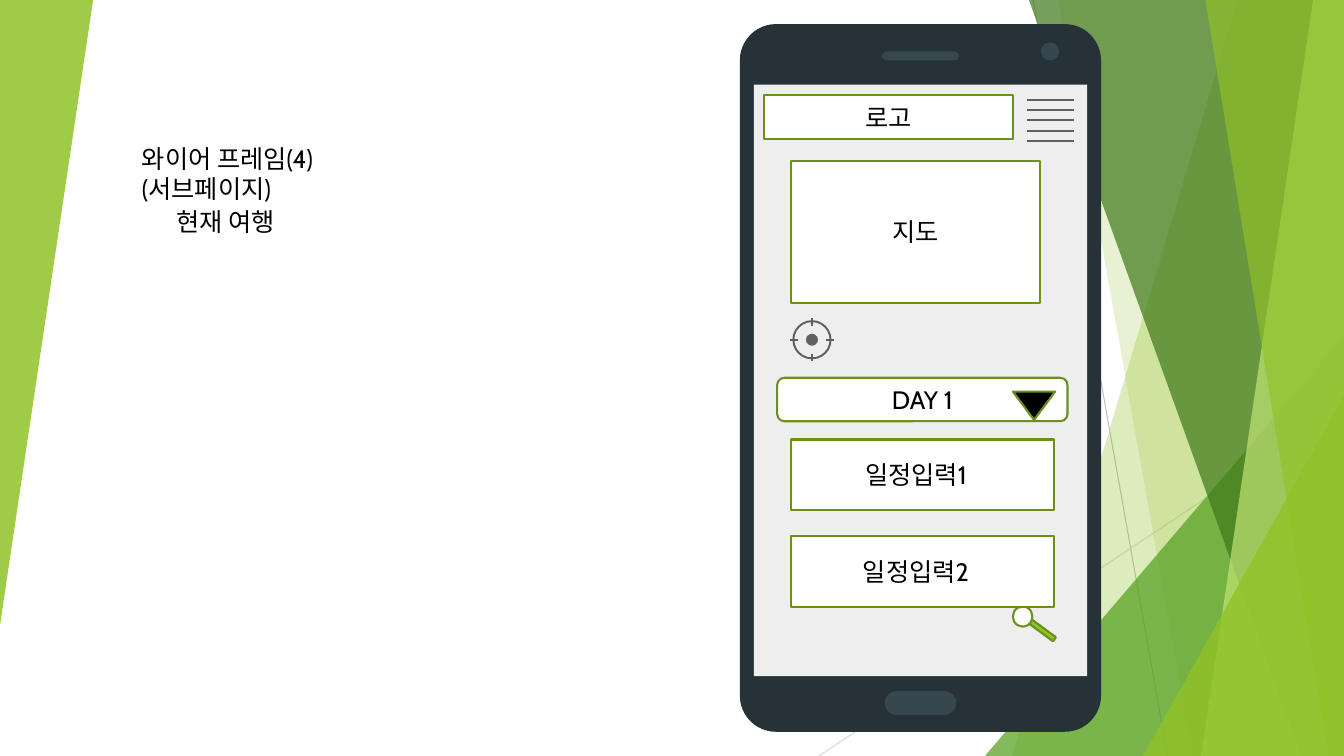
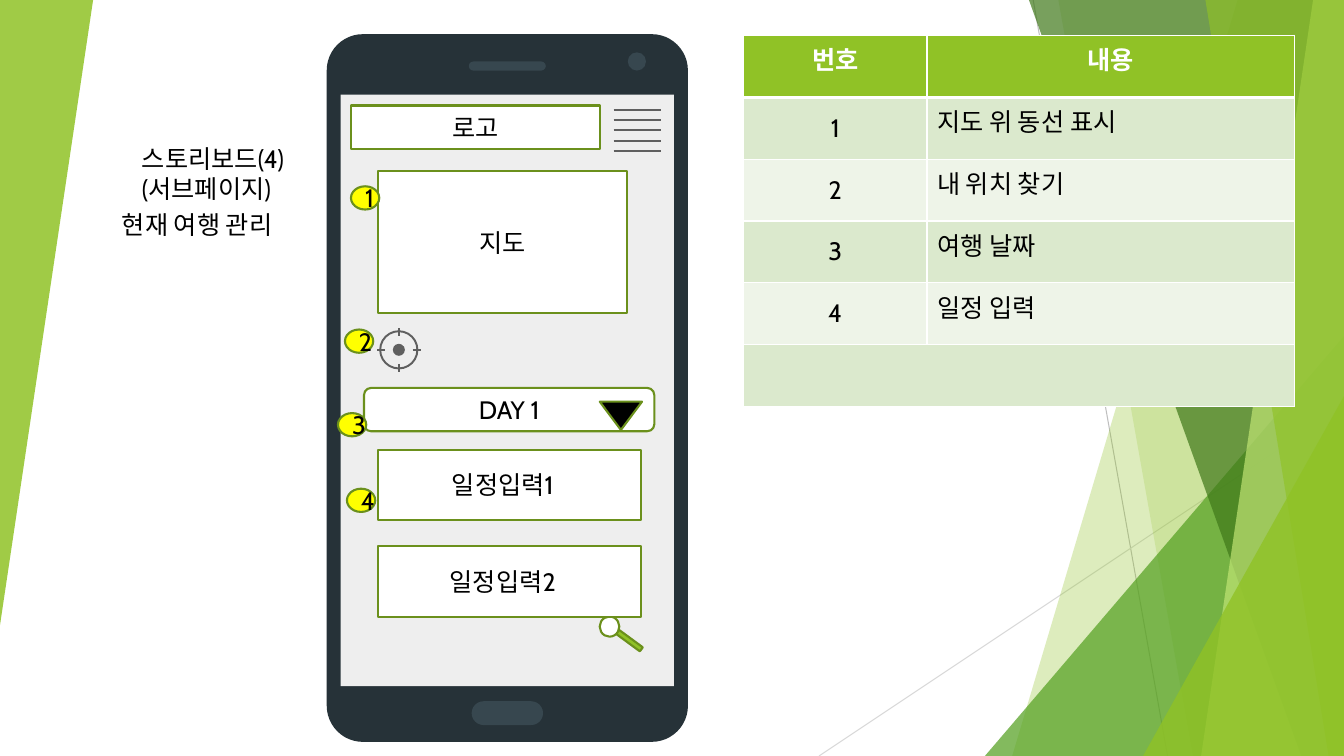
from dataclasses import dataclass
from typing import NamedTuple

from lxml.etree import SubElement
from pptx import Presentation
from pptx.dml.color import RGBColor
from pptx.enum.shapes import MSO_CONNECTOR, MSO_SHAPE
from pptx.enum.text import MSO_ANCHOR, PP_ALIGN
from pptx.oxml.ns import qn
from pptx.util import Pt


@dataclass(frozen=True)
class Theme:
    font: str = "Cabin"
    size: float = 18
    outline_width: float = 1.5
    icon_width: float = 1.4
    hairline: float = 0.75
    text: str = "000000"
    white: str = "FFFFFF"
    green: str = "90C226"
    green_mid: str = "54A021"
    green_dark: str = "3F7819"
    green_light: str = "C0E474"
    outline: str = "6B901C"
    phone: str = "263238"
    phone_detail: str = "37474F"
    screen: str = "EEEEEE"
    icon: str = "5F5F5F"
    badge: str = "FFFF00"
    ray_dark: str = "BFBFBF"
    ray_light: str = "D9D9D9"
    row_odd: str = "DBE9CD"
    row_even: str = "EEF4E8"


class Box(NamedTuple):
    left: float
    top: float
    width: float
    height: float

    def inside(self, left, top, width, height):
        return Box(self.left + left, self.top + top, width, height)

    def lengths(self):
        return [Pt(value) for value in self]


THEME = Theme()
PAGE = Box(0, 0, 960, 540)
PHONE_SIZE = (258, 505.5)


def apply_format(target, values):
    for name, value in values.items():
        setattr(target, name, value)


def write(frame, lines, align=PP_ALIGN.LEFT, color=THEME.text, bold=False):
    for index, line in enumerate(lines):
        para = frame.paragraphs[0] if index == 0 else frame.add_paragraph()
        para.alignment = align
        span = para.add_run()
        span.text = line
        apply_format(span.font, {"name": THEME.font, "size": Pt(THEME.size), "bold": bold})
        span.font.color.rgb = RGBColor.from_string(color)


def paint(shape, fill=None, line=None, width=THEME.outline_width, opacity=100):
    shape.shadow.inherit = False
    if fill:
        shape.fill.solid()
        shape.fill.fore_color.rgb = RGBColor.from_string(fill)
        if opacity < 100:
            color = shape._element.spPr.find(qn("a:solidFill"))[0]
            SubElement(color, qn("a:alpha")).set("val", str(opacity * 1000))
    else:
        shape.fill.background()
    if line:
        shape.line.color.rgb = RGBColor.from_string(line)
        shape.line.width = Pt(width)
    else:
        shape.line.fill.background()


def add_figure(page, kind, box, corner=None, rotation=0, label=None, **style):
    """Add a preset shape, painted and optionally labelled."""
    shape = page.shapes.add_shape(kind, *box.lengths())
    shape.rotation = rotation
    if corner is not None:
        shape.adjustments[0] = corner
    paint(shape, **style)
    if label:
        write(shape.text_frame, [label], PP_ALIGN.CENTER)
    return shape


def add_line(page, start, end, color, width):
    points = [Pt(value) for value in (*start, *end)]
    line = page.shapes.add_connector(MSO_CONNECTOR.STRAIGHT, *points)
    line.line.color.rgb = RGBColor.from_string(color)
    line.line.width = Pt(width)
    SubElement(line._element.spPr, qn("a:effectLst"))


def add_facet(page, box, top_x, bottom_x, color, opacity):
    """Fill the area from a slanted left edge to the right side of the box."""
    right, bottom = box.left + box.width, box.top + box.height
    outline = page.shapes.build_freeform(Pt(box.left + top_x), Pt(box.top), scale=1.0)
    corners = [(right, box.top), (right, bottom), (box.left + bottom_x, bottom)]
    outline.add_line_segments([(Pt(x), Pt(y)) for x, y in corners], close=True)
    paint(outline.convert_to_shape(), fill=color, opacity=opacity)


def add_wedge(page, box, color, opacity, rotation=0):
    add_figure(page, MSO_SHAPE.ISOSCELES_TRIANGLE, box, corner=1,
               rotation=rotation, fill=color, opacity=opacity)


def add_backdrop(page, box):
    right, bottom = box.left + box.width, box.top + box.height
    add_line(page, (box.left + 738, box.top), (box.left + 834, bottom),
             THEME.ray_dark, THEME.hairline)
    add_line(page, (right, box.top + 290), (box.left + 585, bottom),
             THEME.ray_light, THEME.hairline)
    add_facet(page, box, 884, 723, THEME.green, 30)
    add_facet(page, box, 756, 852, THEME.green, 20)
    add_wedge(page, box.inside(703.5, 240, 256.5, 300), THEME.green_mid, 72)
    add_facet(page, box, 735, 929.5, THEME.green_dark, 70)
    add_facet(page, box, 938, 858, THEME.green_light, 70)
    add_facet(page, box, 861, 949, THEME.green, 65)
    add_wedge(page, box.inside(816.5, 283, 143.5, 257), THEME.green, 80)
    add_wedge(page, box.inside(0, 0, 66.5, 446.5), THEME.green, 85, rotation=180)


def add_heading(page, box, lines):
    frame = page.shapes.add_textbox(*box.lengths()).text_frame
    frame.word_wrap = True
    write(frame, lines)


def add_phone_body(page, box):
    rounded = MSO_SHAPE.ROUNDED_RECTANGLE
    add_figure(page, rounded, box, corner=0.1, fill=THEME.phone)
    details = [
        (rounded, (103.5, 476.5, 51, 17), 0.5),
        (MSO_SHAPE.OVAL, (215, 13, 13, 13), None),
        (rounded, (101.5, 19.5, 55, 6.5), 0.5),
    ]
    for kind, place, corner in details:
        add_figure(page, kind, box.inside(*place), corner, fill=THEME.phone_detail)
    add_figure(page, MSO_SHAPE.RECTANGLE, box.inside(10, 43.2, 238, 422.6),
               fill=THEME.screen)


def add_search_icon(page, box):
    add_figure(page, MSO_SHAPE.ROUNDED_RECTANGLE, box.inside(10.2, 15.2, 21.6, 3.6),
               rotation=216.3, fill=THEME.green, line=THEME.outline)
    add_figure(page, MSO_SHAPE.OVAL, box.inside(0, 0, 14, 14.4),
               fill=THEME.white, line=THEME.outline)


def add_menu_icon(page, box, bars=5):
    pitch = box.height / (bars - 1)
    for index in range(bars):
        y = box.top + index * pitch
        add_line(page, (box.left, y), (box.left + box.width, y),
                 THEME.icon, THEME.icon_width)


def add_locate_icon(page, box):
    center_x, center_y = box.left + box.width / 2, box.top + box.height / 2
    ring_inset, dot, tick = 2.2, 8.6, 5.4
    ring = box.width - 2 * ring_inset
    add_figure(page, MSO_SHAPE.OVAL, box.inside(ring_inset, ring_inset, ring, ring),
               line=THEME.icon, width=THEME.icon_width)
    dot_inset = (box.width - dot) / 2
    add_figure(page, MSO_SHAPE.OVAL, box.inside(dot_inset, dot_inset, dot, dot),
               fill=THEME.icon)
    outer = box.width / 2
    inner = outer - tick
    for dx, dy in [(0, -1), (1, 0), (0, 1), (-1, 0)]:
        add_line(page, (center_x + dx * inner, center_y + dy * inner),
                 (center_x + dx * outer, center_y + dy * outer),
                 THEME.icon, THEME.icon_width)


def add_phone(page, box):
    """Draw the phone with the current-trip wireframe on its screen."""
    panel = {"fill": THEME.white, "line": THEME.outline}
    rectangle = MSO_SHAPE.RECTANGLE
    add_phone_body(page, box)
    add_search_icon(page, box.inside(195, 416, 32, 26))
    add_figure(page, rectangle, box.inside(17, 51, 178, 31), label="로고", **panel)
    add_menu_icon(page, box.inside(205, 54, 34, 29.5))
    add_figure(page, rectangle, box.inside(36.7, 97.7, 178, 101.5), label="지도", **panel)
    add_locate_icon(page, box.inside(36, 210, 31, 31))
    add_figure(page, MSO_SHAPE.ROUNDED_RECTANGLE, box.inside(26.6, 252.7, 207.4, 31),
               label="DAY 1", **panel)
    add_figure(page, MSO_SHAPE.ISOSCELES_TRIANGLE, box.inside(195, 262.5, 30.2, 20.2),
               rotation=180, fill=THEME.text, line=THEME.outline)
    for index, label in enumerate(["일정입력1", "일정입력2"]):
        entry = add_figure(page, rectangle,
                           box.inside(36.7, 296.8 + index * 69, 188, 50.4),
                           label=label, **panel)
        entry.text_frame.margin_right = Pt(17)


def add_badges(page, box):
    places = [(17.3, 108.7), (13, 211), (8, 270.7), (14.4, 324.7)]
    for number, (left, top) in enumerate(places, 1):
        add_figure(page, MSO_SHAPE.OVAL, box.inside(left, top, 20.2, 16.6),
                   label=str(number), fill=THEME.badge, line=THEME.outline)


def format_cell(cell, fill, borders):
    """Fill the cell and draw its borders, given as widths by side tag."""
    properties = cell._tc.get_or_add_tcPr()
    for side, width in borders.items():
        line = SubElement(properties, qn(f"a:{side}"), w=str(Pt(width)))
        solid = SubElement(line, qn("a:solidFill"))
        SubElement(solid, qn("a:srgbClr"), val=THEME.white)
    cell.fill.solid()
    cell.fill.fore_color.rgb = RGBColor.from_string(fill)


def add_notes_table(page, box, header, notes):
    rows = [header, *[(str(number), note) for number, note in enumerate(notes, 1)], ()]
    table = page.shapes.add_table(len(rows), 2, *box.lengths()).table
    for column, share in zip(table.columns, (1 / 3, 2 / 3)):
        column.width = Pt(box.width * share)
    for index, texts in enumerate(rows):
        table.rows[index].height = Pt(box.height / len(rows))
        fill = THEME.row_odd if index % 2 else THEME.row_even
        borders = {"lnL": 1, "lnR": 1, "lnT": 3 if index == 1 else 1,
                   "lnB": 3 if index == 0 else 1}
        for cell in table.rows[index].cells:
            format_cell(cell, THEME.green if index == 0 else fill, borders)
        for column, text in enumerate(texts):
            cell = table.cell(index, column)
            if index == 0:
                write(cell.text_frame, [text], PP_ALIGN.CENTER, THEME.white, True)
            elif column == 0:
                cell.vertical_anchor = MSO_ANCHOR.MIDDLE
                write(cell.text_frame, [text], PP_ALIGN.CENTER)
            else:
                write(cell.text_frame, [text])
    last = len(rows) - 1
    table.cell(last, 0).merge(table.cell(last, 1))


def start_page(deck, title, subtitle, subtitle_at, phone):
    page = deck.slides.add_slide(deck.slide_layouts[6])
    add_backdrop(page, PAGE)
    add_phone(page, phone)
    add_heading(page, PAGE.inside(94.3, 98.6, 364, 51), [title, "(서브페이지)"])
    add_heading(page, PAGE.inside(*subtitle_at, 204, 29), [subtitle])
    return page


def add_wireframe_page(deck):
    start_page(deck, "와이어 프레임(4)", "현재 여행", (118.8, 144),
               PAGE.inside(528.5, 17.2, *PHONE_SIZE))


def add_storyboard_page(deck):
    phone = PAGE.inside(233.4, 24.4, *PHONE_SIZE)
    page = start_page(deck, "스토리보드(4)", "현재 여행 관리", (80, 146.2), phone)
    add_badges(page, phone)
    add_notes_table(page, PAGE.inside(531, 25.4, 393.6, 265), ("번호", "내용"),
                    ["지도 위 동선 표시", "내 위치 찾기", "여행 날짜", "일정 입력"])


def main():
    deck = Presentation()
    apply_format(deck, {"slide_width": Pt(PAGE.width), "slide_height": Pt(PAGE.height)})
    add_wireframe_page(deck)
    add_storyboard_page(deck)
    deck.save("out.pptx")


if __name__ == "__main__":
    main()
